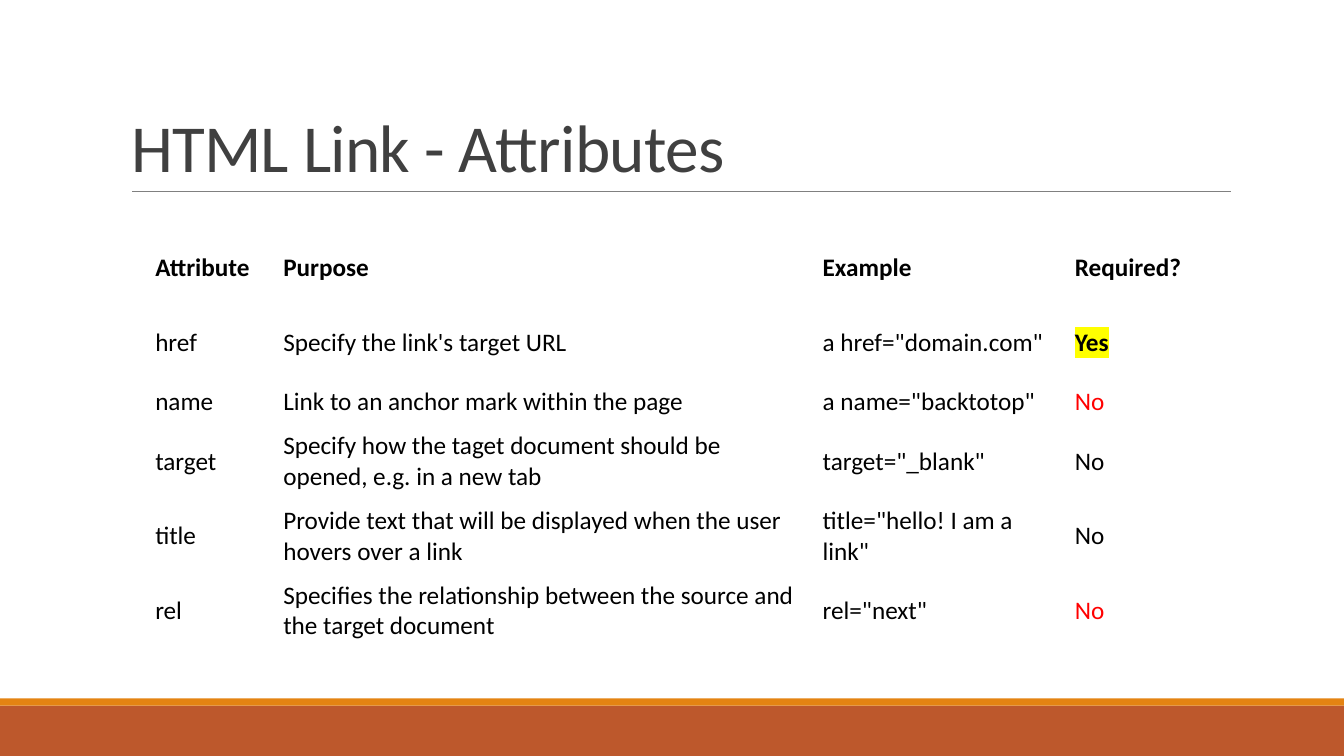
from lxml.etree import SubElement
from pptx import Presentation
from pptx.dml.color import RGBColor
from pptx.enum.shapes import MSO_CONNECTOR, MSO_SHAPE
from pptx.enum.text import MSO_ANCHOR, PP_ALIGN
from pptx.oxml.ns import qn
from pptx.util import Inches, Pt

FONT = "Calibri"
COLUMN_WIDTHS = [1.27, 5.35, 2.5, 1.39]
ROW_HEIGHTS = [0.74, 0.74, 0.44, 0.74, 0.74, 0.74]
HEADINGS = ["Attribute", "Purpose", "Example", "Required?"]
ATTRIBUTES = [
    ["href", "Specify the link's target URL", 'a href="domain.com"', "Yes"],
    ["name", "Link to an anchor mark within the page", 'a name="backtotop"', "No"],
    ["target", "Specify how the taget document should be opened, e.g. in a new tab",
     'target="_blank"', "No"],
    ["title", "Provide text that will be displayed when the user hovers over a link",
     'title="hello! I am a link"', "No"],
    ["rel", "Specifies the relationship between the source and the target document",
     'rel="next"', "No"],
]
REQUIRED_FORMATS = {
    "href": {"bold": True, "highlight": "FFFF00"},
    "name": {"color": "FF0000"},
    "rel": {"color": "FF0000"},
}


def rgb(value):
    """Turn a hex string into a colour."""
    return RGBColor.from_string(value)


def write_text(frame, text, size=18, color="000000", bold=False, highlight=None,
               spacing=None, line_spacing=None):
    """Write one formatted, left-aligned paragraph into a text frame."""
    frame.word_wrap = True
    para = frame.paragraphs[0]
    para.alignment = PP_ALIGN.LEFT
    if line_spacing:
        para.line_spacing = line_spacing
    span = para.add_run()
    span.text = text
    span.font.size = Pt(size)
    span.font.bold = bold
    span.font.color.rgb = rgb(color)
    properties = span.font._element
    if highlight:
        mark = SubElement(properties, qn("a:highlight"))
        SubElement(mark, qn("a:srgbClr"), val=highlight)
    if spacing:
        properties.set("spc", str(round(spacing * 100)))
    span.font.name = FONT


def add_band(page, top, height, color):
    """Add a full-width footer band."""
    band = page.shapes.add_shape(
        MSO_SHAPE.RECTANGLE, 0, Inches(top), Inches(13.33), Inches(height))
    band.shadow.inherit = False
    band.fill.solid()
    band.fill.fore_color.rgb = rgb(color)
    band.line.fill.background()


def add_rule(page, left, right, top):
    """Add the thin grey line under the title."""
    rule = page.shapes.add_connector(
        MSO_CONNECTOR.STRAIGHT, Inches(left), Inches(top), Inches(right), Inches(top))
    rule.line.color.rgb = rgb("808080")
    rule.line.width = Pt(0.5)
    SubElement(rule._element.spPr, qn("a:effectLst"))


def place_title(page, text):
    """Move the title placeholder and fill it."""
    title = page.shapes.title
    title.left, title.top = Inches(1.2), Inches(0.31)
    title.width, title.height = Inches(11), Inches(1.59)
    title.text_frame.vertical_anchor = MSO_ANCHOR.BOTTOM
    write_text(title.text_frame, text, size=48, color="404040", spacing=-0.5,
               line_spacing=0.85)


def fill_cell(cell, text, **text_format):
    """Fill one white table cell with text."""
    cell.fill.solid()
    cell.fill.fore_color.rgb = rgb("FFFFFF")
    cell.vertical_anchor = MSO_ANCHOR.MIDDLE
    write_text(cell.text_frame, text, **text_format)


def add_attribute_table(page):
    """Add the table of link attributes."""
    table = page.shapes.add_table(
        len(ROW_HEIGHTS), len(COLUMN_WIDTHS), Inches(1.44), Inches(2.29),
        Inches(sum(COLUMN_WIDTHS)), Inches(sum(ROW_HEIGHTS))).table
    table.horz_banding = False
    for column, width in zip(table.columns, COLUMN_WIDTHS):
        column.width = Inches(width)
    for row, height in zip(table.rows, ROW_HEIGHTS):
        row.height = Inches(height)
    for column, heading in enumerate(HEADINGS):
        fill_cell(table.cell(0, column), heading, bold=True)
    for row, (name, purpose, example, required) in enumerate(ATTRIBUTES, 1):
        for column, text in enumerate([name, purpose, example]):
            fill_cell(table.cell(row, column), text)
        fill_cell(table.cell(row, 3), required, **REQUIRED_FORMATS.get(name, {}))


def main():
    """Build and save the slide."""
    deck = Presentation()
    deck.slide_width, deck.slide_height = Inches(13.33), Inches(7.5)
    page = deck.slides.add_slide(deck.slide_layouts[5])
    add_band(page, 7, 0.5, "BD582C")
    add_band(page, 6.93, 0.07, "E48312")
    add_rule(page, 1.31, 12.21, 1.9)
    place_title(page, "HTML Link - Attributes")
    add_attribute_table(page)
    deck.save("out.pptx")


if __name__ == "__main__":
    main()
